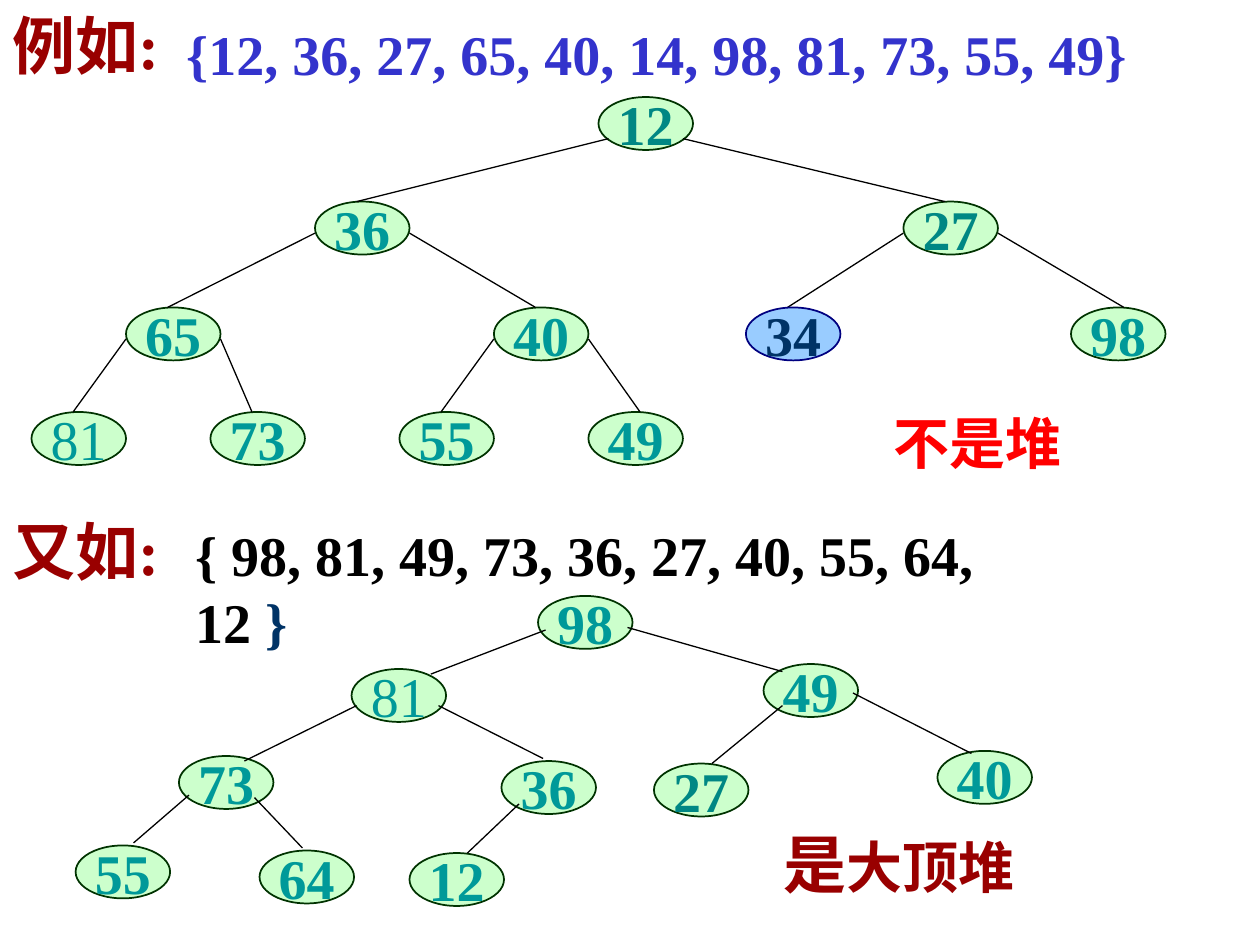
import pptx
import pptx.util
import pptx.dml.color
import pptx.enum.shapes
import pptx.enum.text
import lxml.etree

Inches, Pt = pptx.util.Inches, pptx.util.Pt
RGBColor = pptx.dml.color.RGBColor

FONT = "Times New Roman"
BLACK = RGBColor(0x00, 0x00, 0x00)
RED = RGBColor(0xFF, 0x00, 0x00)
DARK_RED = RGBColor(0x99, 0x00, 0x00)
BLUE = RGBColor(0x33, 0x33, 0xCC)
NAVY = RGBColor(0x00, 0x33, 0x66)
TEAL = RGBColor(0x00, 0x99, 0x99)
DEEP_TEAL = RGBColor(0x00, 0x87, 0x84)
GREEN_FILL = RGBColor(0xCC, 0xFF, 0xCC)
GREEN_LINE = RGBColor(0x00, 0x33, 0x00)
BLUE_FILL = RGBColor(0x99, 0xCC, 0xFF)
BLUE_LINE = RGBColor(0x00, 0x00, 0x80)

NODE_WIDTH, NODE_HEIGHT = 0.75, 0.42
LEVELS = (0.77, 1.6, 2.44, 3.27)

# Nodes: label, left, top, text colour, bold
NOT_HEAP_NODES = [
    ("27", 7.17, LEVELS[1], DEEP_TEAL, True),
    ("12", 4.75, LEVELS[0], DEEP_TEAL, True),
    ("36", 2.5, LEVELS[1], TEAL, True),
    ("65", 1, LEVELS[2], TEAL, True),
    ("49", 4.67, LEVELS[3], TEAL, True),
    ("81", 0.25, LEVELS[3], TEAL, False),
    ("73", 1.67, LEVELS[3], TEAL, True),
    ("55", 3.17, LEVELS[3], TEAL, True),
    ("40", 3.92, LEVELS[2], TEAL, True),
    ("98", 8.5, LEVELS[2], TEAL, True),
]
ODD_NODE = ("34", 5.92, LEVELS[2], NAVY, True)
MAX_HEAP_NODES = [
    ("98", 4.27, 4.73, TEAL, True),
    ("81", 2.79, 5.31, TEAL, False),
    ("49", 6.06, 5.27, TEAL, True),
    ("73", 1.42, 6, TEAL, True),
    ("36", 3.98, 6.04, TEAL, True),
    ("27", 5.19, 6.06, DEEP_TEAL, True),
    ("40", 7.44, 5.96, TEAL, True),
    ("55", 0.6, 6.71, TEAL, True),
    ("64", 2.06, 6.75, TEAL, True),
    ("12", 3.25, 6.77, TEAL, True),
]

# Edges of the first tree, by level: start y, end y, (start x, end x) pairs
NOT_HEAP_LEVELS = [
    (1.1, LEVELS[1], [(4.83, 2.83), (5.42, 7.5)]),
    (1.85, LEVELS[2], [(2.5, 1.33), (3.25, 4.25), (7.17, 6.25), (7.92, 8.92)]),
    (2.69, LEVELS[3], [(1, 0.58), (1.75, 2), (3.92, 3.5), (4.67, 5.08)]),
]
NOT_HEAP_EDGES = [(x1, y1, x2, y2)
                  for y1, y2, pairs in NOT_HEAP_LEVELS for x1, x2 in pairs]
# Edges of the second tree: start x, start y, end x, end y
MAX_HEAP_EDGES = [
    (4.33, 5, 3.42, 5.35), (4.98, 4.98, 6.21, 5.33), (2.83, 5.6, 1.94, 6.04),
    (1.5, 6.31, 1.06, 6.69), (2.02, 6.33, 2.4, 6.73), (3.48, 5.6, 4.31, 6.02),
    (4.12, 6.38, 3.71, 6.77), (6.21, 5.6, 5.65, 6.06), (6.77, 5.5, 7.71, 5.98),
]

# Text boxes: left, top, width, height, wrap, line spacing, runs
TEXTS = [
    (0, 0, 1.36, 0.7, True, 1, [("例如:", 36, DARK_RED)]),
    (1.38, 0, 7.74, 0.75, False, 1.2,
     [("{12, 36, 27, 65, 40, 14, 98, 81, 73, 55, 49}", 32, BLUE)]),
    (6.99, 3.19, 1.55, 0.64, False, 1, [("不是堆", 32, RED)]),
    (1.45, 4.08, 7.2, 0.63, True, 1,
     [("{ 98, 81, 49, 73, 36, 27, 40, 55, 64, 12", 32, BLACK), (" }", 32, NAVY)]),
    (6.12, 6.5, 2.04, 0.7, False, 1,
     [("是", 36, DARK_RED), ("大顶堆", 32, DARK_RED)]),
    (0, 4.02, 1.36, 0.7, True, 1, [("又如:", 36, DARK_RED)]),
]


def add_run(paragraph, text, size, color, bold=True):
    run = paragraph.add_run()
    run.text = text
    run.font.name = FONT
    run.font.size = Pt(size)
    run.font.bold = bold
    run.font.color.rgb = color


def add_node(shapes, node, fill=GREEN_FILL, line=GREEN_LINE):
    label, left, top, color, bold = node
    shape = shapes.add_shape(pptx.enum.shapes.MSO_SHAPE.OVAL, Inches(left), Inches(top),
                             Inches(NODE_WIDTH), Inches(NODE_HEIGHT))
    shape.shadow.inherit = False
    shape.fill.solid()
    shape.fill.fore_color.rgb = fill
    shape.line.color.rgb = line
    shape.line.width = Pt(1)
    frame = shape.text_frame
    frame.word_wrap = False
    frame.vertical_anchor = pptx.enum.text.MSO_ANCHOR.MIDDLE
    paragraph = frame.paragraphs[0]
    paragraph.alignment = pptx.enum.text.PP_ALIGN.CENTER
    add_run(paragraph, label, 32, color, bold)


def add_edge(shapes, edge):
    connector = shapes.add_connector(pptx.enum.shapes.MSO_CONNECTOR.STRAIGHT,
                                     *(Inches(value) for value in edge))
    connector.line.color.rgb = BLACK
    connector.line.width = Pt(0.75)
    properties = connector._element.spPr
    lxml.etree.SubElement(properties, pptx.oxml.ns.qn("a:effectLst"))


def add_tree(slide, nodes, edges):
    group = slide.shapes.add_group_shape()
    for node in nodes:
        add_node(group.shapes, node)
    for edge in edges:
        add_edge(group.shapes, edge)


def add_text(slide, left, top, width, height, wrap, spacing, runs):
    box = slide.shapes.add_textbox(Inches(left), Inches(top), Inches(width), Inches(height))
    frame = box.text_frame
    frame.word_wrap = wrap
    frame.auto_size = pptx.enum.text.MSO_AUTO_SIZE.SHAPE_TO_FIT_TEXT
    paragraph = frame.paragraphs[0]
    paragraph.line_spacing = spacing
    for text, size, color in runs:
        add_run(paragraph, text, size, color)


def main():
    presentation = pptx.Presentation()
    presentation.slide_width, presentation.slide_height = Inches(10), Inches(7.5)
    slide = presentation.slides.add_slide(presentation.slide_layouts[6])

    # Trees
    add_tree(slide, NOT_HEAP_NODES, NOT_HEAP_EDGES)
    add_node(slide.shapes, ODD_NODE, BLUE_FILL, BLUE_LINE)
    add_tree(slide, MAX_HEAP_NODES, MAX_HEAP_EDGES)

    # Sequences and verdicts
    for text in TEXTS:
        add_text(slide, *text)

    presentation.save("out.pptx")


if __name__ == "__main__":
    main()
